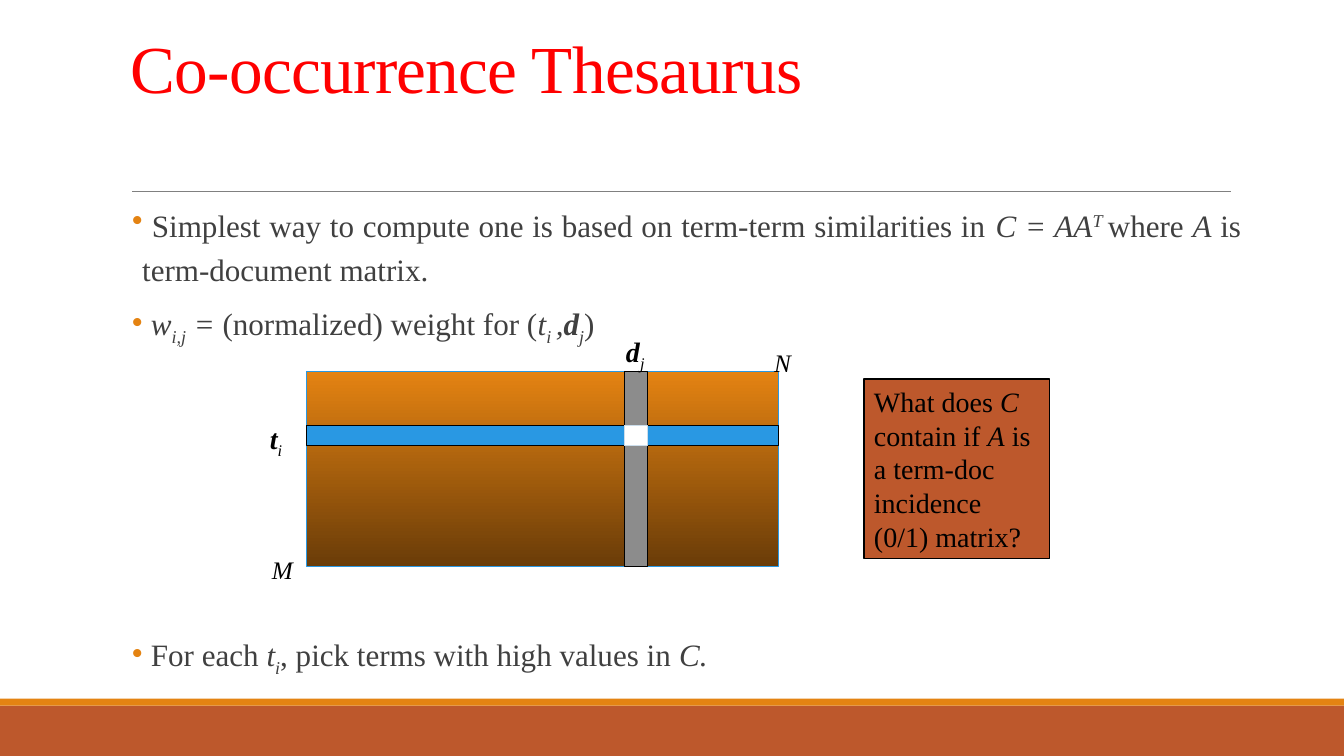
from lxml.etree import SubElement
from pptx import Presentation
from pptx.dml.color import RGBColor
from pptx.enum.shapes import MSO_CONNECTOR, MSO_SHAPE
from pptx.enum.text import MSO_ANCHOR, PP_ALIGN
from pptx.oxml.ns import qn
from pptx.util import Inches, Pt

THEME = {
    "font": "Times New Roman",
    "title": RGBColor.from_string("FF0000"),
    "body": RGBColor.from_string("404040"),
    "black": RGBColor.from_string("000000"),
    "orange": RGBColor.from_string("E48312"),
    "brown": RGBColor.from_string("6A3C08"),
    "rust": RGBColor.from_string("BD582C"),
    "blue": RGBColor.from_string("2998E3"),
    "gray": RGBColor.from_string("8C8C8C"),
    "rule": RGBColor.from_string("808080"),
    "white": RGBColor.from_string("FFFFFF"),
    "pale": RGBColor.from_string("CCDDEA"),
    "title_size": Pt(48),
    "body_size": Pt(22.2),
    "label_size": Pt(20),
    "corner_size": Pt(18),
}

deck = Presentation()
deck.slide_width, deck.slide_height = Inches(13.33), Inches(7.5)
page = deck.slides.add_slide(deck.slide_layouts[6])
column, row = deck.slide_width / 100, deck.slide_height / 100


def add_box(left, top, width, height, fill=None, line=None):
    area = int(left * column), int(top * row), int(width * column), int(height * row)
    if fill is None:
        box = page.shapes.add_textbox(*area)
    else:
        box = page.shapes.add_shape(MSO_SHAPE.RECTANGLE, *area)
        box.shadow.inherit = False
        box.fill.solid()
        box.fill.fore_color.rgb = THEME[fill]
        if line:
            box.line.color.rgb = THEME[line]
            box.line.width = Pt(0.75)
        else:
            box.line.fill.background()
    box.text_frame.word_wrap = True
    return box


def write(para, spans, size, color):
    para.font.name = THEME["font"]
    para.font.size = THEME[size]
    para.font.color.rgb = THEME[color]
    for text, style in spans:
        span = para.add_run()
        span.text = text
        if "i" in style:
            span.font.italic = True
        if "b" in style:
            span.font.bold = True
        for mark, baseline in (("^", "30000"), ("_", "-25000")):
            if mark in style:
                span._r.get_or_add_rPr().set("baseline", baseline)


add_box(0, 93.33, 100, 6.67, "rust")
add_box(0, 92.4, 100, 0.93, "orange")
rule_y = int(25.33 * row)
rule = page.shapes.add_connector(
    MSO_CONNECTOR.STRAIGHT, int(9.83 * column), rule_y, int(91.6 * column), rule_y)
rule.line.color.rgb = THEME["rule"]
rule.line.width = Pt(0.5)
SubElement(rule._element.spPr, qn("a:effectLst"))

title = add_box(9, 4.13, 82.52, 10.67).text_frame
title.vertical_anchor = MSO_ANCHOR.BOTTOM
heading = title.paragraphs[0]
heading.line_spacing = 0.85
write(heading, [("Co-occurrence Thesaurus", "")], "title_size", "title")
heading.runs[0]._r.get_or_add_rPr().set("spc", "-50")

bullets = [
    (0, [(" Simplest way to compute one is based on term-term similarities in ", ""),
         ("C = AA", "i"), ("T ", "i^"), ("where ", ""), ("A", "i"),
         (" is term-document matrix.", "")]),
    (6, [(" w", "i"), ("i,j", "i_"), (" = ", "i"), ("(normalized) weight for (", ""),
         ("t", "i"), ("i ", "i_"), (",", "i"), ("d", "bi"), ("j", "i_"), (")", "")]),
    (200, [(" For each ", ""), ("t", "i"), ("i", "i_"),
           (", pick terms with high values in ", ""), ("C.", "i")]),
]
body = add_box(9.83, 25.6, 82.52, 65.6).text_frame
body.margin_left = body.margin_right = 0
for index, (gap, spans) in enumerate(bullets):
    para = body.add_paragraph() if index else body.paragraphs[0]
    para.alignment = PP_ALIGN.JUSTIFY
    para.line_spacing = 1.2
    para.space_before = Pt(gap)
    settings = para._p.get_or_add_pPr()
    settings.set("marL", str(Inches(0.1)))
    settings.set("indent", str(-Inches(0.1)))
    bullet_color = SubElement(settings, qn("a:buClr"))
    SubElement(bullet_color, qn("a:srgbClr")).set("val", str(THEME["orange"]))
    SubElement(settings, qn("a:buChar")).set("char", "•")
    write(para, spans, "body_size", "body")

matrix_left, matrix_top, matrix_width, matrix_height = 22.81, 49.2, 35.11, 25.73
term_top, term_height = 56.27, 2.67
document_left, document_width = 46.44, 1.73
matrix = add_box(matrix_left, matrix_top, matrix_width, matrix_height, "orange", "blue")
matrix.fill.gradient()
matrix.fill.gradient_angle = 270
for stop, shade in zip(matrix.fill.gradient_stops, ("orange", "brown")):
    stop.color.rgb = THEME[shade]
add_box(matrix_left, term_top, matrix_width, term_height, "blue", "black")
add_box(document_left, matrix_top, document_width, matrix_height, "gray", "black")
add_box(document_left, term_top, document_width, term_height, "white", "pale")

labels = [
    (19.35, 55.07, [("t", "bi"), ("i", "i_")], "label_size"),
    (45.84, 43.6, [("d", "bi"), ("j", "i_")], "label_size"),
    (56.86, 45.33, [("N", "i")], "corner_size"),
    (19.5, 72.67, [("M", "i")], "corner_size"),
]
for left, top, spans, size in labels:
    label = add_box(left, top, 5.18, 5.6)
    write(label.text_frame.paragraphs[0], spans, size, "black")

question = add_box(64.29, 50.13, 13.8, 23.73, "rust", "black").text_frame
question.vertical_anchor = MSO_ANCHOR.MIDDLE
question.paragraphs[0].alignment = PP_ALIGN.LEFT
write(question.paragraphs[0],
      [("What does ", ""), ("C", "i"), (" contain if ", ""), ("A", "i"),
       (" is a term-doc incidence (0/1) matrix?", "")], "label_size", "black")

deck.save("out.pptx")
